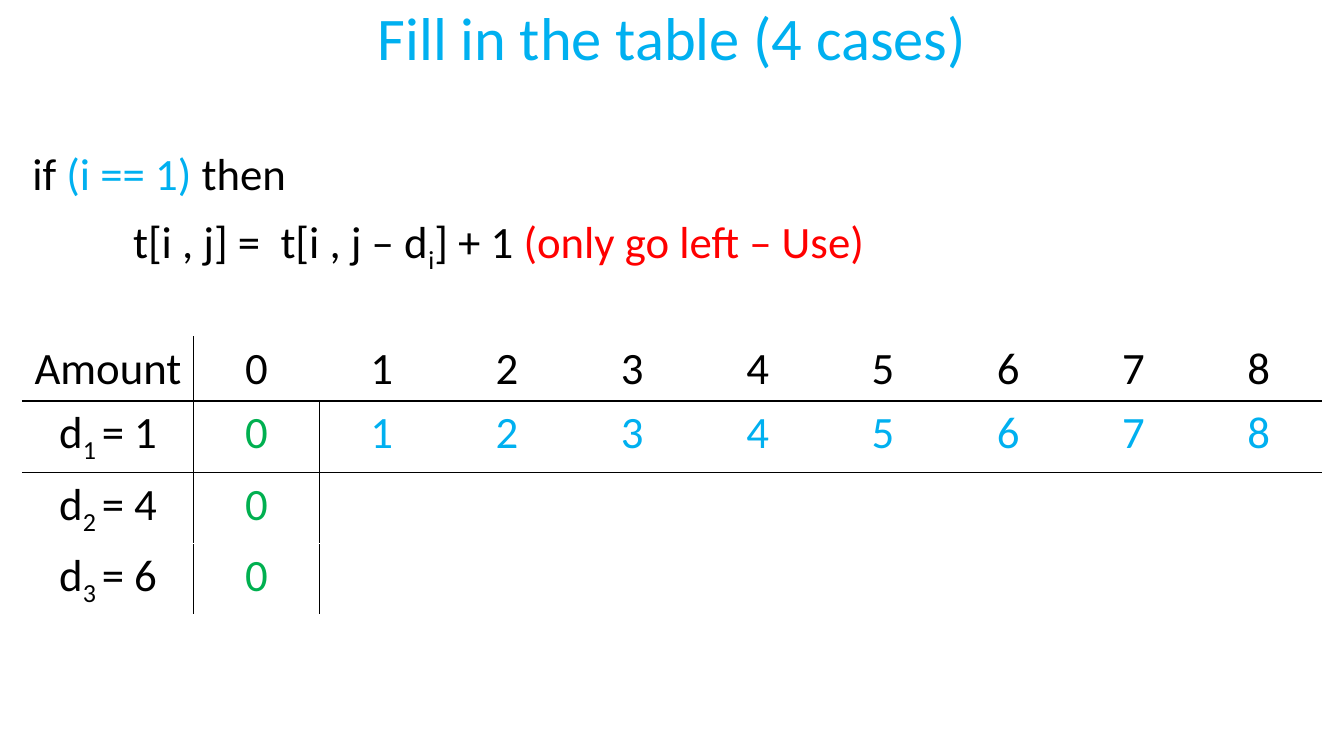
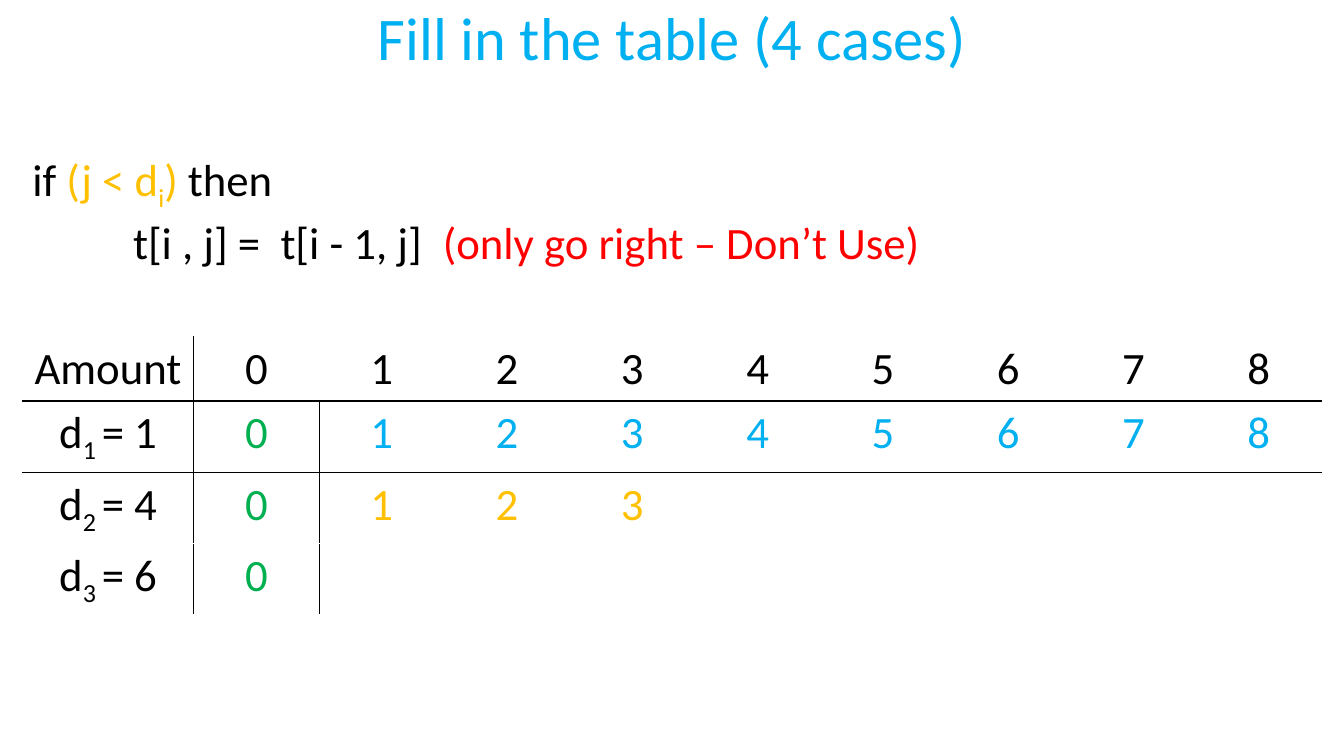
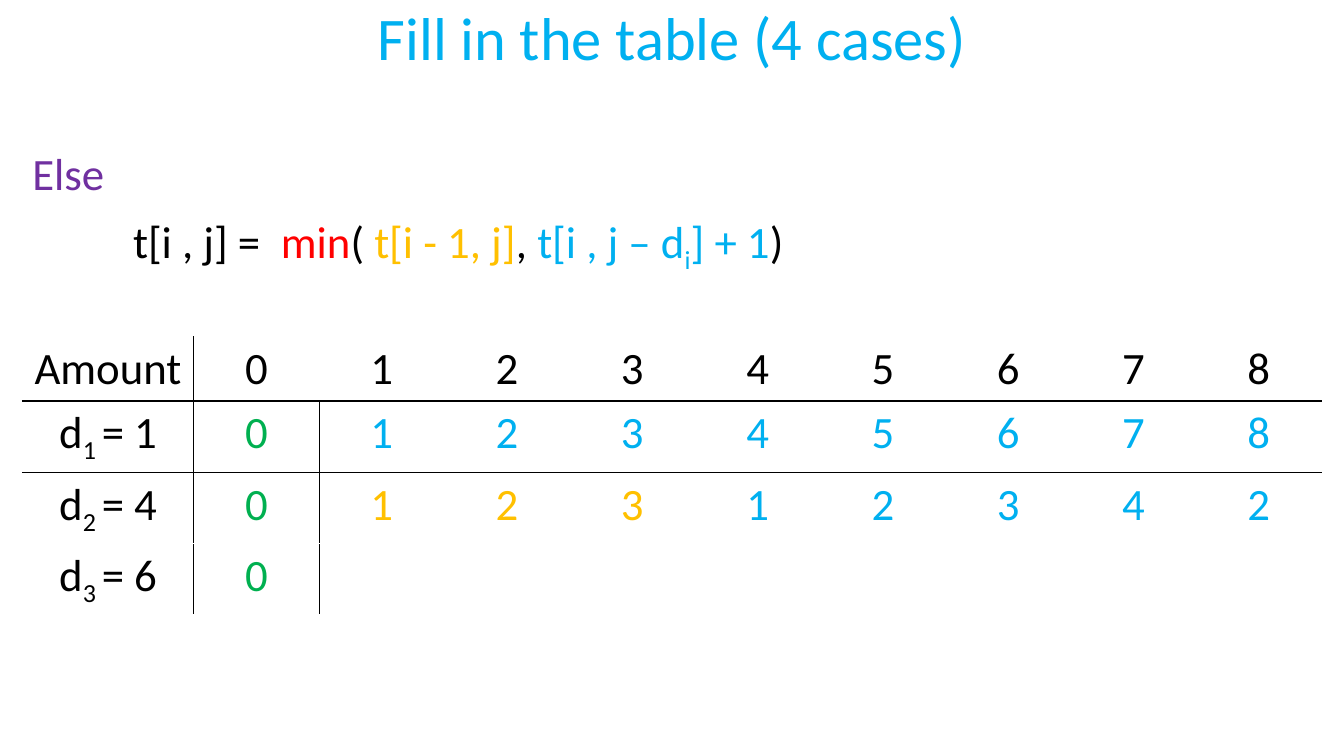
from lxml import etree
from pptx import Presentation
from pptx import util as u
from pptx.dml.color import RGBColor
from pptx.enum import text
from pptx.oxml import ns

PX = 6350
INK = {"black": "000000", "blue": "00B0F0", "green": "00B050",
       "gold": "FFC000", "red": "FF0000", "purple": "7030A0"}


class Deck:
    font = "Calibri"
    size = 32
    head = 43.2

    def __init__(self):
        self.prs = Presentation()
        self.prs.slide_width = self.px(1920)
        self.prs.slide_height = self.px(1080)

    def px(self, n):
        return u.Emu(n * PX)

    def page(self, title):
        self.slide = self.prs.slides.add_slide(self.prs.slide_layouts[6])
        frame = self.box(0, 3, 1920, 112)
        frame.vertical_anchor = text.MSO_ANCHOR.MIDDLE
        par = frame.paragraphs[0]
        par.alignment = text.PP_ALIGN.CENTER
        par.line_spacing = 0.9
        self.runs(par, [("blue", title)], self.head)

    def box(self, x, y, w, h):
        frame = self.slide.shapes.add_textbox(*map(self.px, (x, y, w, h))).text_frame
        frame.word_wrap = True
        return frame

    def runs(self, par, parts, size):
        for ink, words in parts:
            for i, word in enumerate(words.split("_")):
                run = par.add_run()
                run.text = word
                run.font.name = self.font
                run.font.size = u.Pt(size)
                run.font.color.rgb = RGBColor.from_string(INK[ink])
                if i % 2:
                    run.font._element.set("baseline", "-25000")

    def rule(self, test, step):
        frame = self.box(32, 210, 1656, 219)
        first, last = frame.paragraphs[0], frame.add_paragraph()
        last.space_before = u.Pt(10)
        last._p.get_or_add_pPr().set("marL", str(self.px(144)))
        for par, parts in ((first, test), (last, step)):
            par.line_spacing = 0.9
            self.runs(par, parts, self.size)

    def edge(self, cell, sides):
        props = cell._tc.get_or_add_tcPr()
        for i, side in enumerate(sides):
            line = etree.Element(ns.qn("a:ln" + side), w=str(u.Pt(1)))
            fill = etree.SubElement(line, ns.qn("a:solidFill"))
            etree.SubElement(fill, ns.qn("a:srgbClr"), val=INK["black"])
            props.insert(i, line)

    def grid(self, rows):
        wide = [245] + [179] * 9
        high = [92] + [101] * 3
        table = self.slide.shapes.add_table(
            len(high), len(wide), self.px(32), self.px(481),
            self.px(sum(wide)), self.px(sum(high))).table
        table.first_row = table.horz_banding = False
        for col, w in zip(table.columns, wide):
            col.width = self.px(w)
        for r, h in enumerate(high):
            table.rows[r].height = self.px(h)
            for c in range(len(wide)):
                cell = table.cell(r, c)
                cell.fill.background()
                sides = {"L": c == 1 or c == 2 and r > 0,
                         "R": c == 0 or c == 1 and r > 0,
                         "T": r in (1, 2), "B": r in (0, 1)}
                self.edge(cell, [s for s in sides if sides[s]])
                if c < len(rows[r]):
                    par = cell.text_frame.paragraphs[0]
                    par.alignment = text.PP_ALIGN.CENTER
                    self.runs(par, [rows[r][c]], self.size)


def nums(ink, digits):
    return [(ink, d) for d in digits]


def coin(i, value):
    return [("black", f"d_{i} _= {value}"), ("green", "0")]


def main():
    deck = Deck()
    left = nums("gold", "123")
    cases = [
        ([("black", "if"), ("blue", " (i == 1) "), ("black", "then")],
         [("black", "t[i , j] =  t[i , j – d_i_] + 1 "),
          ("red", "(only go left – Use)")],
         []),
        ([("black", "if "), ("gold", "(j < d_i_) "), ("black", "then")],
         [("black", "t[i , j] =  t[i - 1, j]  "),
          ("red", "(only go right – Don’t Use)")],
         left),
        ([("purple", "Else")],
         [("black", "t[i , j] =  "), ("red", "min"), ("black", "( "),
          ("gold", "t[i - 1, j]"), ("black", ", "),
          ("blue", "t[i , j – d_i_] + 1"), ("black", ")")],
         left + nums("blue", "12342")),
    ]
    for test, step, found in cases:
        deck.page("Fill in the table (4 cases)")
        deck.rule(test, step)
        deck.grid([[("black", "Amount")] + nums("black", "012345678"),
                   coin(1, 1) + nums("blue", "12345678"),
                   coin(2, 4) + found,
                   coin(3, 6)])
    deck.prs.save("out.pptx")


if __name__ == "__main__":
    main()
